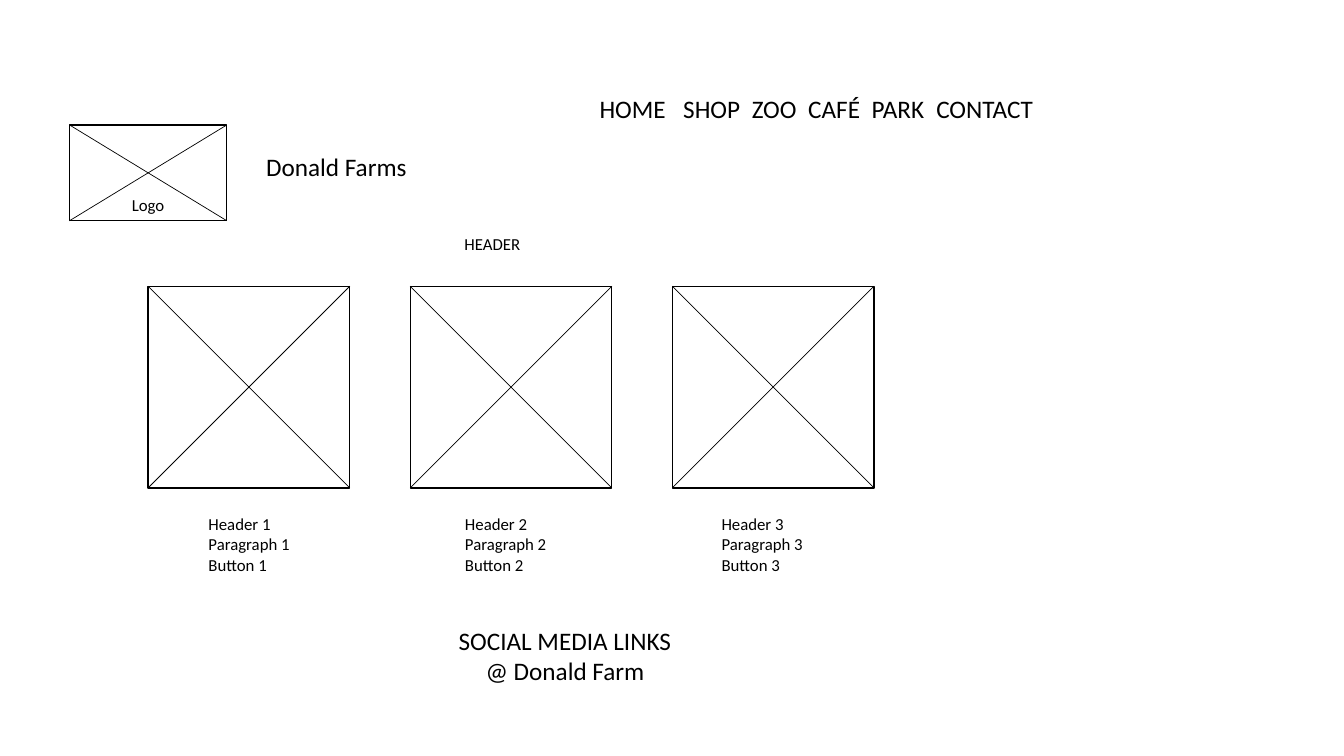
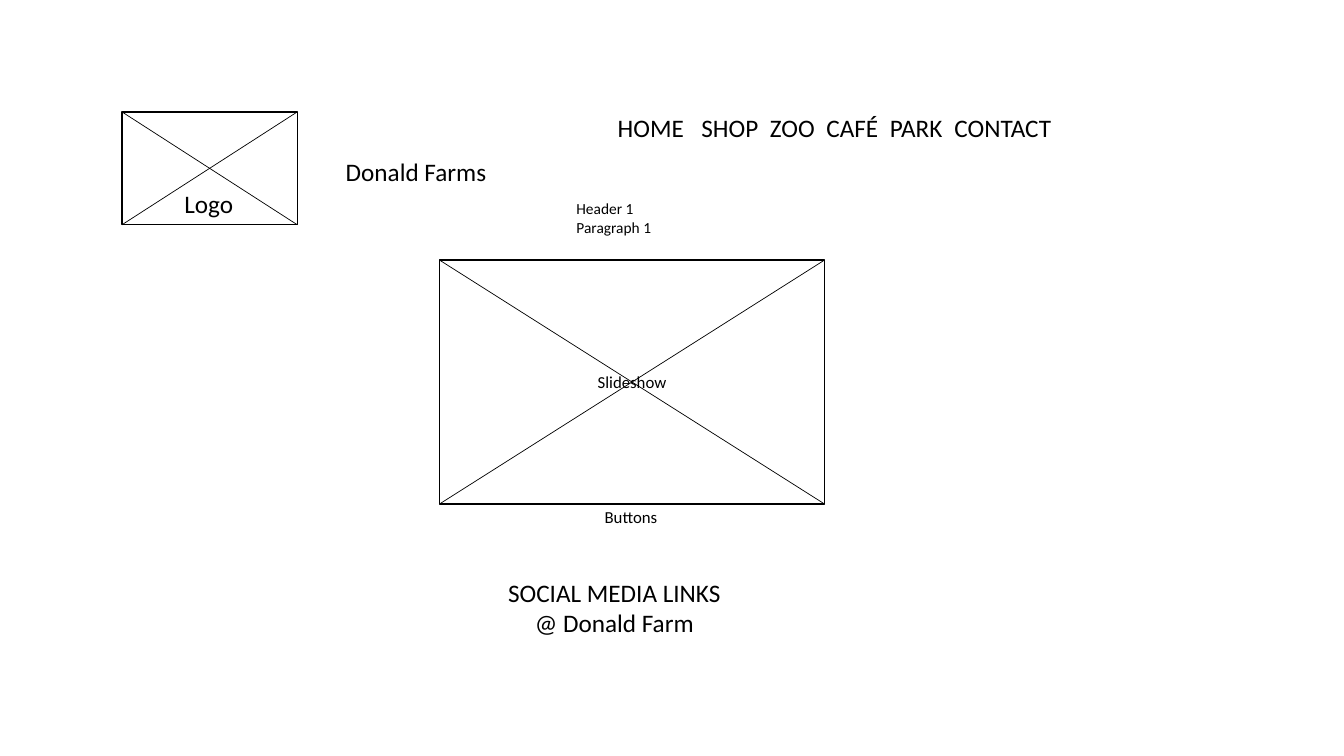
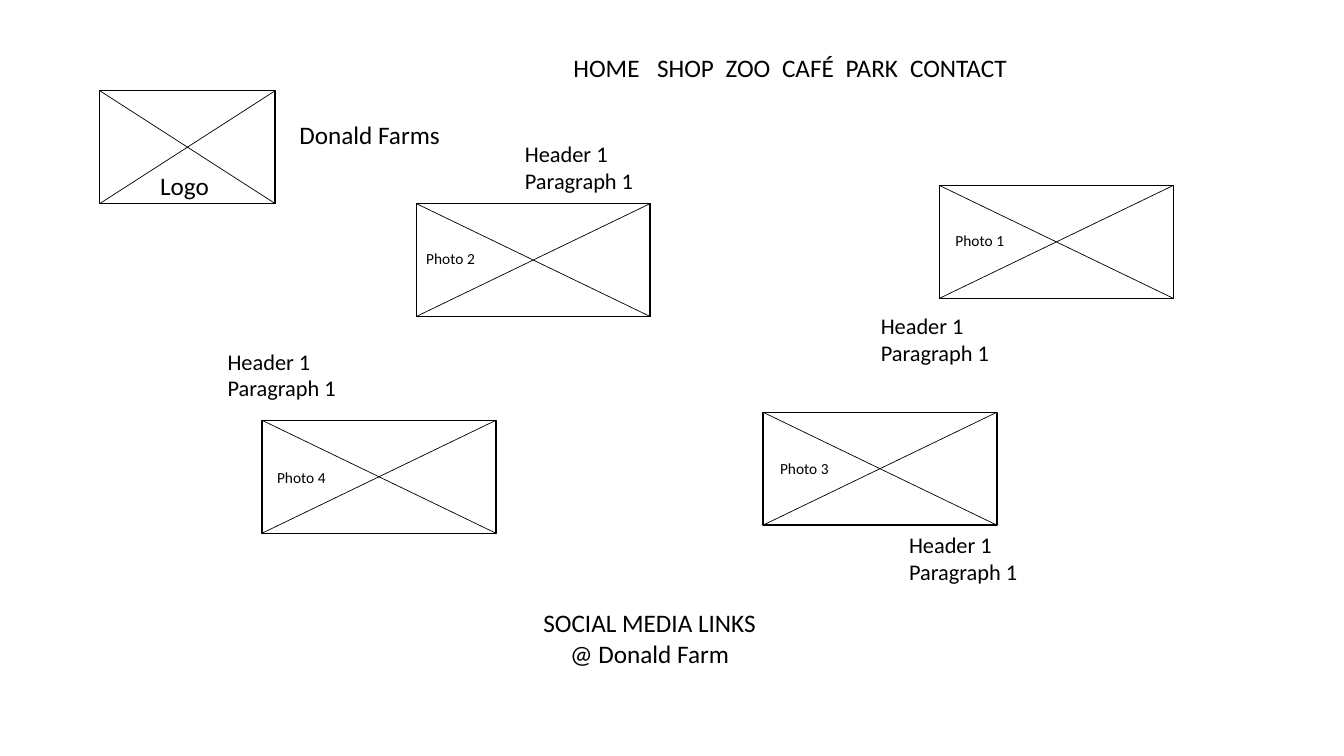
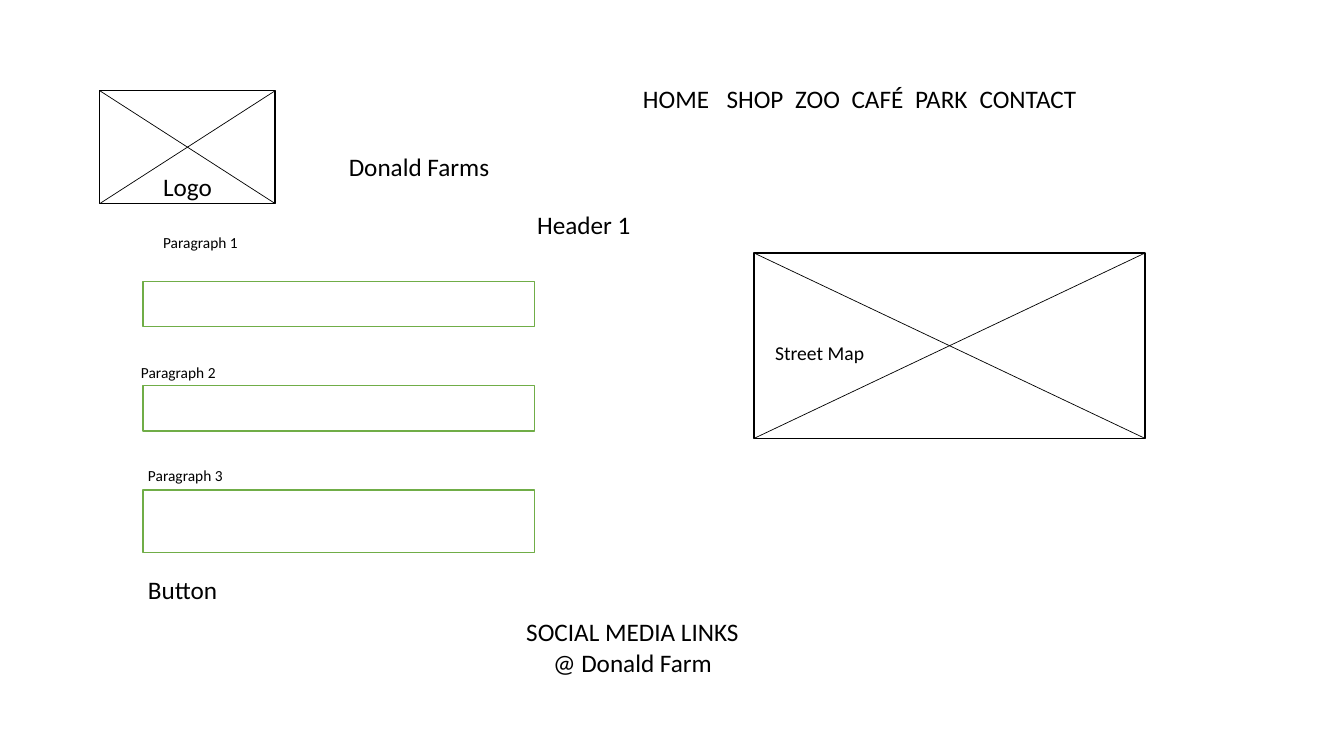
from dataclasses import dataclass, field

from lxml.etree import SubElement
from pptx import Presentation
from pptx.dml.color import RGBColor
from pptx.enum.shapes import MSO_CONNECTOR as Connector, MSO_SHAPE as Preset
from pptx.enum.text import MSO_ANCHOR as Anchor, MSO_AUTO_SIZE as AutoSize, PP_ALIGN as Align
from pptx.oxml.ns import qn
from pptx.shapes.base import BaseShape
from pptx.slide import Slide
from pptx.text.text import TextFrame
from pptx.util import Inches, Pt

# Grid: every cell is a tenth of an inch
COLUMNS, ROWS = 133.33, 75
HALF_WIDTH = 66.7
TITLE_ONLY = 5


@dataclass(frozen=True)
class Theme:
    font: str = "Calibri"
    ink: RGBColor = RGBColor(0, 0, 0)
    paper: RGBColor = RGBColor(255, 255, 255)
    accent: RGBColor = RGBColor(0x70, 0xAD, 0x47)
    large: int = 18
    heading: int = 16
    medium: int = 14
    body: int = 12
    small: int = 11
    outline: float = 1
    diagonal: float = 0.5


THEME = Theme()
SITE_NAME = "Donald Farms"
MENU = ("HOME", "SHOP", "ZOO", "CAFÉ", "PARK", "CONTACT")
MENU_STOPS = (8.3, 15.1, 20.7, 27, 33.4)
FOOTER = ("SOCIAL MEDIA LINKS", "@ Donald Farm")
HEADING = ("Header 1", "Paragraph 1")


@dataclass(frozen=True)
class Box:
    """A rectangle in grid cells."""
    column: float
    row: float
    columns: float
    rows: float


@dataclass(frozen=True)
class Label:
    """Left-aligned lines of text; the height follows from the lines."""
    column: float
    row: float
    lines: tuple[str, ...]
    size: int = THEME.large
    columns: float = HALF_WIDTH
    align: Align = Align.LEFT


@dataclass(frozen=True)
class Frame:
    """The parts that every page of the site has."""
    logo: Box
    logo_label: Label
    name: tuple[float, float]
    menu: tuple[float, float]
    footer: tuple[float, float]


@dataclass(frozen=True)
class Wireframe:
    frame: Frame
    pictures: list[Box]
    labels: list[Label]
    fields: list[Box] = field(default_factory=list)
    caption: str = ""


def cells(count: float) -> int:
    return Inches(count / 10)


def place(box: Box) -> tuple[int, int, int, int]:
    return cells(box.column), cells(box.row), cells(box.columns), cells(box.rows)


def label_box(label: Label) -> Box:
    """Fit the height to the lines and keep the width on the slide."""
    rows = 1 + len(label.lines) * label.size / 6
    return Box(label.column, label.row, min(label.columns, COLUMNS - label.column), rows)


def write(frame: TextFrame, lines: tuple[str, ...], size: int, align: Align) -> None:
    frame.word_wrap = True
    for index, line in enumerate(lines):
        para = frame.add_paragraph() if index else frame.paragraphs[0]
        para.text = line
        para.alignment = align
        para.font.name = THEME.font
        para.font.size = Pt(size)
        para.font.color.rgb = THEME.ink


def add_label(page: Slide, label: Label) -> TextFrame:
    frame = page.shapes.add_textbox(*place(label_box(label))).text_frame
    write(frame, label.lines, label.size, label.align)
    frame.auto_size = AutoSize.SHAPE_TO_FIT_TEXT
    return frame


def add_rectangle(shapes, box: Box, color: RGBColor) -> BaseShape:
    rectangle = shapes.add_shape(Preset.RECTANGLE, *place(box))
    rectangle.shadow.inherit = False
    rectangle.fill.solid()
    rectangle.fill.fore_color.rgb = THEME.paper
    rectangle.line.color.rgb = color
    rectangle.line.width = Pt(THEME.outline)
    return rectangle


def add_picture_box(page: Slide, box: Box, caption: str = "") -> None:
    """Draw a crossed rectangle that stands for a picture."""
    shapes = page.shapes.add_group_shape().shapes
    rectangle = add_rectangle(shapes, box, THEME.ink)
    if caption:
        rectangle.text_frame.vertical_anchor = Anchor.MIDDLE
        write(rectangle.text_frame, (caption,), THEME.body, Align.CENTER)
    left, top, width, height = place(box)
    for start, end in ((left, left + width), (left + width, left)):
        line = shapes.add_connector(Connector.STRAIGHT, start, top, end, top + height)
        line.line.color.rgb = THEME.ink
        line.line.width = Pt(THEME.diagonal)
        SubElement(line._element.spPr, qn("a:effectLst"))


def add_menu(page: Slide, column: float, row: float) -> None:
    """Set the menu entries on tab stops."""
    menu = add_label(page, Label(column, row, ("\t".join(MENU),), columns=48))
    stops = SubElement(menu.paragraphs[0]._p.get_or_add_pPr(), qn("a:tabLst"))
    for stop in MENU_STOPS:
        SubElement(stops, qn("a:tab"), pos=str(cells(stop)), algn="l")


def add_frame(page: Slide, frame: Frame) -> None:
    # Site name in the title placeholder
    title = page.shapes.title
    name = Label(*frame.name, (SITE_NAME,), columns=16.1)
    title.left, title.top, title.width, title.height = place(label_box(name))
    write(title.text_frame, name.lines, name.size, name.align)
    title.text_frame.vertical_anchor = Anchor.TOP
    title.text_frame.auto_size = AutoSize.NONE
    # Logo, menu and footer
    add_picture_box(page, frame.logo)
    add_label(page, frame.logo_label)
    add_menu(page, *frame.menu)
    add_label(page, Label(*frame.footer, FOOTER, align=Align.CENTER))


def add_wireframe(deck: Presentation, wireframe: Wireframe) -> None:
    page = deck.slides.add_slide(deck.slide_layouts[TITLE_ONLY])
    add_frame(page, wireframe.frame)
    for box in wireframe.pictures:
        add_picture_box(page, box, wireframe.caption)
    for box in wireframe.fields:
        add_rectangle(page.shapes, box, THEME.accent)
    for label in wireframe.labels:
        add_label(page, label)


def logo_box(column: float, row: float) -> Box:
    return Box(column, row, 17.4, 11.2)


def photo_box(column: float, row: float) -> Box:
    return Box(column, row, 23.2, 11.2)


# Home page: three equal cards
HOME = Wireframe(
    Frame(Box(6.9, 12.4, 15.6, 9.5), Label(12.1, 18.8, ("Logo",), THEME.body, 5.3),
          name=(25.4, 14.5), menu=(58.5, 8.8), footer=(22.7, 61.5)),
    pictures=[Box(14.7 + 26 * card, 28.4, 20, 20) for card in range(3)],
    labels=[Label(45.1, 22.7, ("HEADER",), THEME.body, 7.6)] + [
        Label(19.7 + 25.45 * card, 50.5,
              tuple(f"{word} {card + 1}" for word in ("Header", "Paragraph", "Button")),
              THEME.body, 25.6)
        for card in range(3)
    ],
)

# Slideshow page
SLIDESHOW = Wireframe(
    Frame(logo_box(12.1, 11.1), Label(17.3, 18.2, ("Logo",)),
          name=(33.3, 15), menu=(60.3, 10.7), footer=(27.6, 56.8)),
    pictures=[Box(43.6, 25.8, 38.2, 24.2)],
    labels=[Label(59, 49.8, ("Buttons",), THEME.body, 7.3),
            Label(56.2, 19.3, HEADING, THEME.small, 9.6)],
    caption="Slideshow",
)

# Photo page
PHOTOS = Wireframe(
    Frame(logo_box(9.9, 9), Label(14.9, 16.4, ("Logo",)),
          name=(28.7, 11.3), menu=(55.9, 4.7), footer=(31.1, 59.8)),
    pictures=[photo_box(*spot) for spot in
              ((93.2, 18.4), (41.3, 20.2), (75.7, 40.9), (26, 41.7))],
    labels=[Label(*spot, (f"Photo {number}",), THEME.small) for number, spot in
            enumerate(((93.8, 22.4), (41.3, 24.2), (76.4, 45.1), (26.5, 46)), 1)]
    + [Label(*spot, HEADING, THEME.heading) for spot in
       ((86.4, 30.5), (51.1, 13.4), (89.2, 52.2), (21.6, 34))],
)

# Contact page: form on the left, map on the right
CONTACT = Wireframe(
    Frame(logo_box(9.9, 9), Label(15.2, 16.5, ("Logo",)),
          name=(33.6, 14.5), menu=(62.8, 7.8), footer=(29.4, 60.7)),
    pictures=[Box(74.8, 25.1, 38.8, 18.4)],
    fields=[Box(14.2, 27.9 + 10.35 * index, 38.8, rows)
            for index, rows in enumerate((4.5, 4.5, 6.2))],
    labels=[Label(*spot, (f"Paragraph {number}",), THEME.small, 34.7) for number, spot in
            enumerate(((15.2, 22.6), (13, 35.5), (13.7, 45.8)), 1)]
    + [Label(52.3, 20.3, ("Header 1",), columns=13.1),
       Label(13.7, 56.5, ("Button",), columns=9),
       Label(75.9, 33.3, ("Street Map",), THEME.medium, 11.8)],
)


def main() -> None:
    deck = Presentation()
    deck.slide_width, deck.slide_height = cells(COLUMNS), cells(ROWS)
    for wireframe in (HOME, SLIDESHOW, PHOTOS, CONTACT):
        add_wireframe(deck, wireframe)
    deck.save("out.pptx")


if __name__ == "__main__":
    main()
